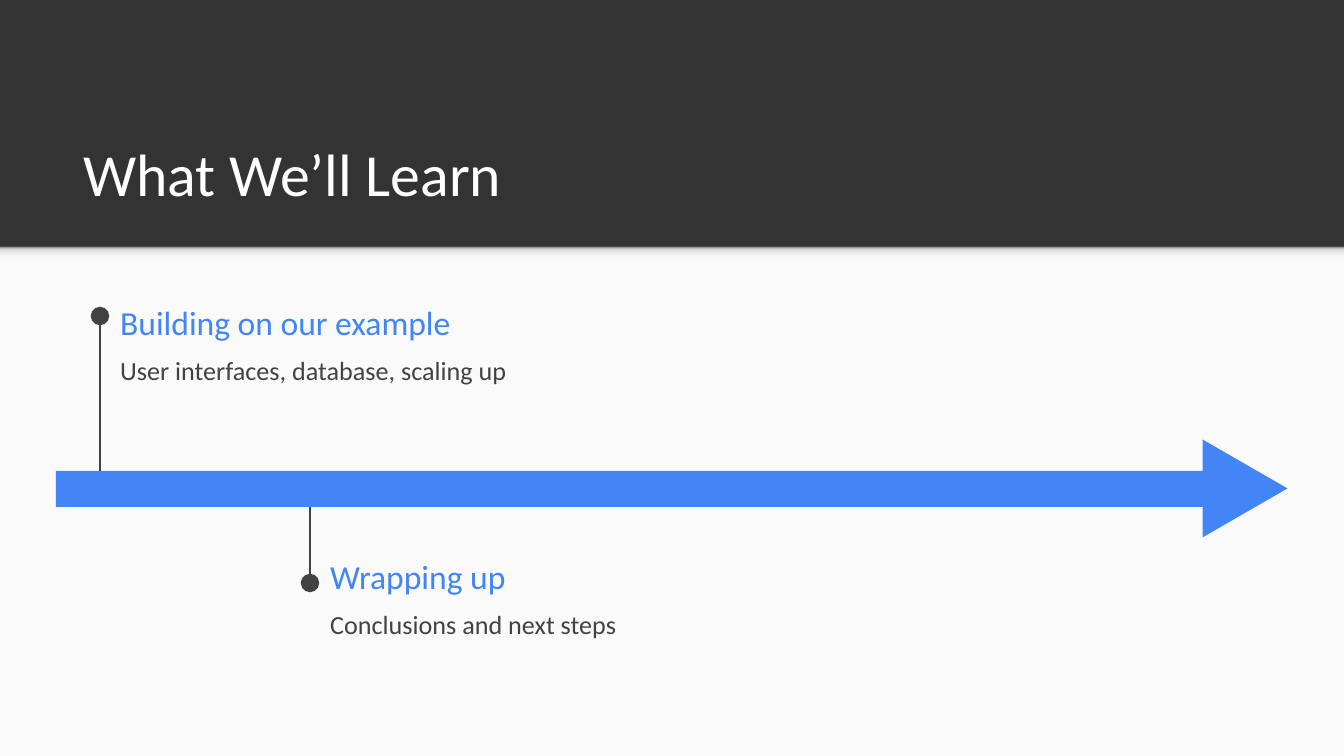
from dataclasses import dataclass

from lxml import etree
from pptx import Presentation
from pptx import util as u
from pptx.dml.color import RGBColor
from pptx.enum import shapes, text
from pptx.oxml import parse_xml
from pptx.oxml.ns import nsdecls, qn

SCALE = 914400 / 134.4


@dataclass(frozen=True)
class Theme:
    """Colours, font and type sizes of the slide."""
    dark: str = "333333"
    pale: str = "FAFAFA"
    ink: str = "424242"
    blue: str = "4285F4"
    white: str = "FFFFFF"
    shade: tuple = ((0, "F9F9F9"), (36, "F9F9F9"), (80, "DEDEDE"), (100, "999999"))
    font: str = "Calibri"
    title: int = 32
    head: int = 18
    body: int = 14


T = Theme()


def px(n):
    """Turn pixels into EMU."""
    return u.Emu(round(n * SCALE))


def rgb(tone):
    """Turn a hex string into a colour."""
    return RGBColor.from_string(tone)


def form(slide, kind, box, fill, turn=0):
    """Add a flat preset shape without an outline."""
    item = slide.shapes.add_shape(kind, *map(px, box))
    item.shadow.inherit = False
    item.line.fill.background()
    item.fill.solid()
    item.fill.fore_color.rgb = rgb(fill)
    item.rotation = turn
    return item


def fade(item, stops):
    """Give a shape a gradient that runs from bottom to top."""
    marks = "".join(
        f'<a:gs pos="{pos * 1000}"><a:srgbClr val="{tone}"/></a:gs>'
        for pos, tone in stops)
    grad = parse_xml(
        f'<a:gradFill {nsdecls("a")} rotWithShape="1"><a:gsLst>{marks}</a:gsLst>'
        '<a:lin ang="16200000" scaled="0"/></a:gradFill>')
    props = item.fill._xPr
    props.replace(props.find(qn("a:solidFill")), grad)


def write(slide, words, box, size, tone, anchor=text.MSO_ANCHOR.TOP,
          lead=None, after=None):
    """Add a one-paragraph text box."""
    frame = slide.shapes.add_textbox(*map(px, box)).text_frame
    frame.word_wrap = True
    frame.vertical_anchor = anchor
    frame.margin_left = frame.margin_right = u.Inches(0.1)
    frame.margin_top = frame.margin_bottom = u.Inches(0.1)
    para = frame.paragraphs[0]
    para.text = words
    para.line_spacing = lead
    para.space_after = after
    font = para.font
    font.name, font.size, font.color.rgb = T.font, u.Pt(size), rgb(tone)


def pin(slide, x, start, end):
    """Add an upright line with a round tip at its end."""
    line = slide.shapes.add_connector(
        shapes.MSO_CONNECTOR.STRAIGHT, px(x), px(start), px(x), px(end))
    line.line.color.rgb = rgb(T.ink)
    line.line.width = u.Pt(0.75)
    etree.SubElement(line.line._get_or_add_ln(), qn("a:tailEnd"),
                     type="oval", w="lg", len="lg")
    etree.SubElement(line._element.spPr, qn("a:effectLst"))


def arrow(slide):
    """Add the timeline arrow."""
    kinds = shapes.MSO_SHAPE
    form(slide, kinds.ISOSCELES_TRIANGLE, (1196, 446, 98, 85), T.blue, 90)
    form(slide, kinds.RECTANGLE, (56, 471, 1161, 36), T.blue)


def note(slide, x, y, head, body, wide):
    """Add a stage heading with its summary beside a pin."""
    write(slide, head, (x + 7, y, wide, 58), T.head, T.blue,
          anchor=text.MSO_ANCHOR.MIDDLE)
    write(slide, body, (x + 7, y + 43, wide, 85), T.body, T.ink,
          lead=1.15, after=u.Pt(16))


def main():
    """Build and save the slide."""
    deck = Presentation()
    deck.slide_width, deck.slide_height = px(1344), px(756)
    slide = deck.slides.add_slide(deck.slide_layouts[6])
    back = slide.background.fill
    back.solid()
    back.fore_color.rgb = rgb(T.dark)

    rect = shapes.MSO_SHAPE.RECTANGLE
    form(slide, rect, (0, 247, 1344, 509), T.pale)
    fade(form(slide, rect, (0, 247, 1344, 16), T.pale), T.shade)
    write(slide, "What We’ll Learn", (70, 109, 1208, 113), T.title, T.white,
          anchor=text.MSO_ANCHOR.BOTTOM)

    stages = (
        (100, 481, 316, 293, "Building on our example",
         "User interfaces, database, scaling up", 430),
        (310, 484, 583, 547, "Wrapping up", "Conclusions and next steps", 341),
    )
    for x, start, end, *_ in stages:
        pin(slide, x, start, end)
    arrow(slide)
    for x, _, _, y, head, body, wide in stages:
        note(slide, x, y, head, body, wide)
    deck.save("out.pptx")


if __name__ == "__main__":
    main()
